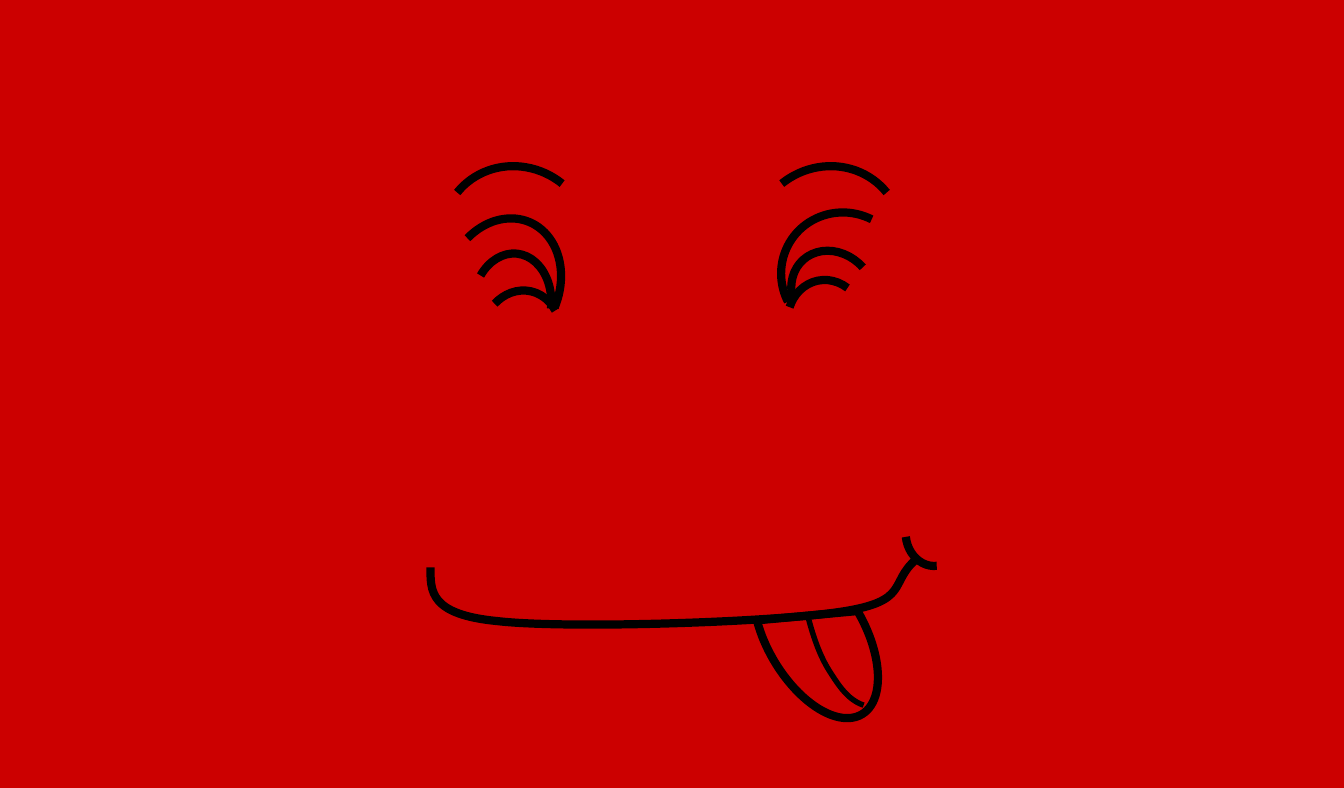
"""Build a red slide with a winking face drawn from arcs and curves."""
import pptx
import pptx.dml.color
import pptx.enum.shapes
import pptx.oxml
import pptx.oxml.ns
import pptx.util

Inches = pptx.util.Inches
Kind = pptx.enum.shapes.MSO_SHAPE
RED = pptx.dml.color.RGBColor(0xCC, 0x00, 0x00)
BLACK = pptx.dml.color.RGBColor(0x00, 0x00, 0x00)
LONG_ARC = (130.34, 0)
SHORT_ARC = (130.34, 186.47)

EYES = [
    dict(at=(6.05, 1.89, 0.6, 0.69), turn=318.3, adjust=LONG_ARC),
    dict(at=(6, 2.13, 0.6, 0.69), turn=348.4, adjust=SHORT_ARC),
    dict(at=(5.96, 1.61, 0.94, 0.96), turn=296.8, adjust=LONG_ARC),
    dict(at=(3.6, 1.93, 0.6, 0.78), turn=5.7, adjust=LONG_ARC),
    dict(at=(3.67, 2.21, 0.6, 0.69), turn=13.1, adjust=SHORT_ARC),
    dict(at=(3.4, 1.65, 0.86, 1.05), turn=23, adjust=(126.23, 0)),
]
BROWS = [
    dict(at=(3.38, 1.25, 1.11, 1.16), turn=308.9),
    dict(at=(5.75, 1.25, 1.11, 1.16), turn=51.1, flip=True),
]
MOUTH = [
    dict(points=[(3.28, 4.32), (3.28, 4.5), (3.27, 4.68), (3.79, 4.73),
                 (4.31, 4.79), (5.87, 4.74), (6.4, 4.66),
                 (6.94, 4.58), (6.77, 4.44), (6.98, 4.26)]),
    dict(at=(6.9, 3.82, 0.42, 0.49), turn=173.7),
    dict(at=(5.52, 4.47, 1.39, 0.74), turn=59.6, flip=True, kind=Kind.CHORD),
    dict(points=[(6.16, 4.71), (6.2, 4.86), (6.25, 5), (6.32, 5.11),
                 (6.39, 5.22), (6.46, 5.33), (6.58, 5.37)], weight=3),
]


def style_outline(shape, weight):
    """Leave the shape unfilled with a plain black outline."""
    shape.shadow.inherit = False
    shape.fill.background()
    shape.line.color.rgb = BLACK
    shape.line.width = pptx.util.Pt(weight)


def add_arc(page, at, turn, adjust=(), flip=False, kind=Kind.ARC, weight=4.5):
    """Add a rotated arc or chord."""
    shape = page.shapes.add_shape(kind, *map(Inches, at))
    shape.rotation = turn
    for index, value in enumerate(adjust):
        shape.adjustments[index] = value
    if flip:
        shape._element.spPr.xfrm.set("flipH", "1")
    style_outline(shape, weight)


def add_curve(page, points, weight=4.5):
    """Add a Bezier curve: a start, then three points for each segment."""
    start, *rest = [(Inches(x), Inches(y)) for x, y in points]
    builder = page.shapes.build_freeform(*start)
    builder.add_line_segments(rest, close=False)
    shape = builder.convert_to_shape()
    qn = pptx.oxml.ns.qn
    outline = next(shape._element.iter(qn("a:path")))
    lines = outline.findall(qn("a:lnTo"))
    for first in range(0, len(lines), 3):
        curve = pptx.oxml.parse_xml(
            f'<a:cubicBezTo {pptx.oxml.ns.nsdecls("a")}/>')
        for line in lines[first:first + 3]:
            curve.append(line[0])
            outline.remove(line)
        outline.append(curve)
    style_outline(shape, weight)


def main():
    """Draw the face and save the deck."""
    deck = pptx.Presentation()
    deck.slide_width, deck.slide_height = Inches(10.24), Inches(6)
    page = deck.slides.add_slide(deck.slide_layouts[6])
    page.background.fill.solid()
    page.background.fill.fore_color.rgb = RED
    for part in EYES + BROWS + MOUTH:
        draw = add_curve if "points" in part else add_arc
        draw(page, **part)
    deck.save("out.pptx")


if __name__ == "__main__":
    main()
